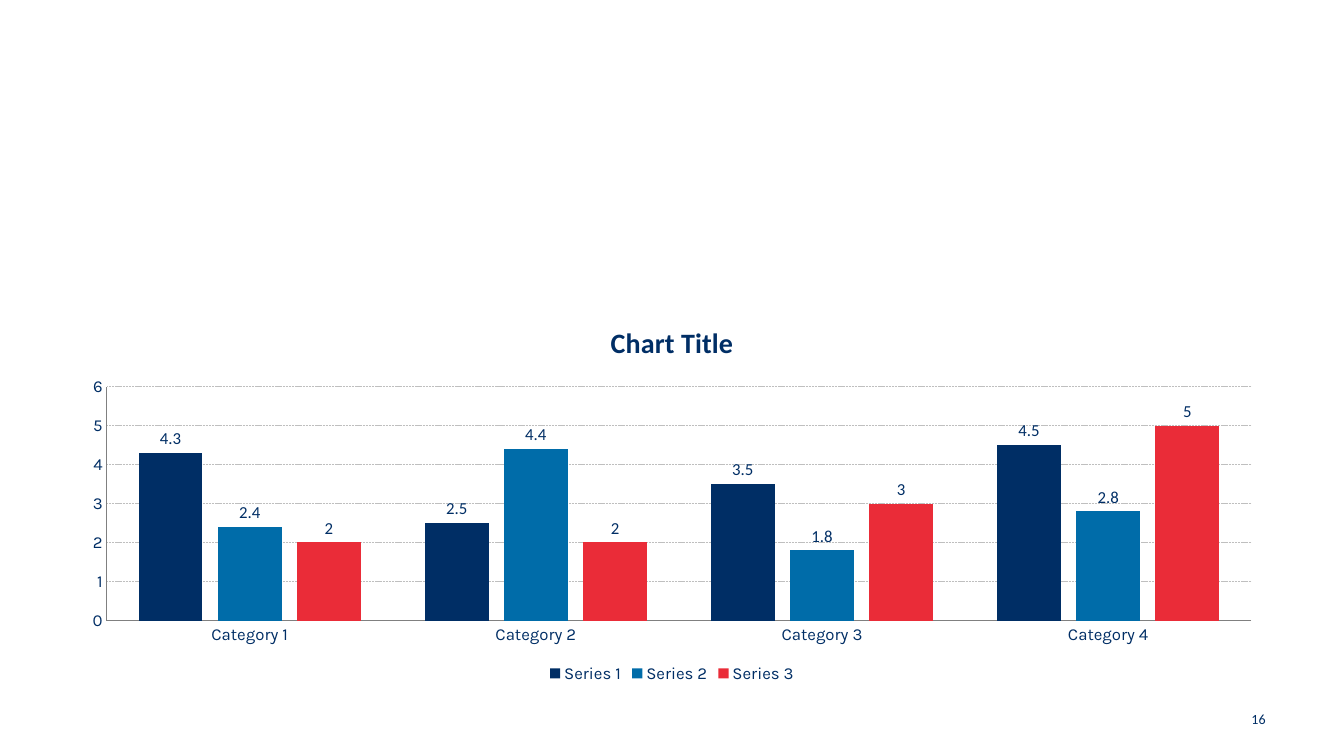
from pptx import Presentation
from pptx.chart.data import CategoryChartData
from pptx.dml.color import RGBColor
from pptx.enum import chart as kinds, dml, text
from pptx.util import Inches, Pt

NAVY = RGBColor(0x00, 0x2E, 0x65)
BLUE = RGBColor(0x00, 0x6C, 0xA9)
RED = RGBColor(0xEA, 0x2C, 0x38)
GRAY = RGBColor(0x80, 0x80, 0x80)
LIGHT_GRAY = RGBColor(0xBF, 0xBF, 0xBF)

CATEGORIES = ["Category 1", "Category 2", "Category 3", "Category 4"]
SERIES = [
    ("Series 1", (4.3, 2.5, 3.5, 4.5), NAVY),
    ("Series 2", (2.4, 4.4, 1.8, 2.8), BLUE),
    ("Series 3", (2, 2, 3, 5), RED),
]


def style_font(font, name, size, bold=False):
    font.name = name
    font.size = Pt(size)
    font.bold = bold
    font.color.rgb = NAVY


def style_line(line, color):
    line.color.rgb = color
    line.width = Pt(0.5)


def style_axis(axis):
    axis.major_tick_mark = kinds.XL_TICK_MARK.NONE
    axis.minor_tick_mark = kinds.XL_TICK_MARK.NONE
    style_font(axis.tick_labels.font, "Karla", 12)
    style_line(axis.format.line, GRAY)


def style_series(series, color):
    series.invert_if_negative = False
    series.format.fill.solid()
    series.format.fill.fore_color.rgb = color
    labels = series.data_labels
    labels.show_value = True
    labels.position = kinds.XL_LABEL_POSITION.OUTSIDE_END
    style_font(labels.font, "Calibri", 12)


def add_title(chart, wording):
    chart.has_title = True
    chart.chart_title.include_in_layout = False
    span = chart.chart_title.text_frame.paragraphs[0].add_run()
    span.text = wording
    style_font(span.font, "Calibri", 20, bold=True)


def add_legend(chart):
    chart.has_legend = True
    chart.legend.position = kinds.XL_LEGEND_POSITION.BOTTOM
    chart.legend.include_in_layout = False
    style_font(chart.legend.font, "Karla", 12)


def add_column_chart(page):
    data = CategoryChartData()
    data.categories = CATEGORIES
    for name, values, _ in SERIES:
        data.add_series(name, values)
    chart = page.shapes.add_chart(
        kinds.XL_CHART_TYPE.COLUMN_CLUSTERED,
        Inches(0.68), Inches(3.02), Inches(11.97), Inches(3.8), data).chart
    style_font(chart.font, "Karla", 10)
    add_title(chart, "Chart Title")
    add_legend(chart)

    style_axis(chart.category_axis)
    value_axis = chart.value_axis
    style_axis(value_axis)
    value_axis.minimum_scale = 0
    value_axis.maximum_scale = 6
    value_axis.major_unit = 1
    grid = value_axis.major_gridlines.format.line
    style_line(grid, LIGHT_GRAY)
    grid.dash_style = dml.MSO_LINE.SQUARE_DOT

    plot = chart.plots[0]
    plot.gap_width = 100
    plot.overlap = -24
    plot.vary_by_categories = False
    for series, (_, _, color) in zip(plot.series, SERIES):
        style_series(series, color)


def add_page_number(page, number):
    box = page.shapes.add_textbox(
        Inches(9.76), Inches(6.93), Inches(2.89), Inches(0.4))
    box.text_frame.word_wrap = True
    box.text_frame.vertical_anchor = text.MSO_ANCHOR.MIDDLE
    para = box.text_frame.paragraphs[0]
    para.alignment = text.PP_ALIGN.RIGHT
    span = para.add_run()
    span.text = number
    style_font(span.font, "Calibri", 10)


def main():
    deck = Presentation()
    deck.slide_width = Inches(13.33)
    deck.slide_height = Inches(7.5)
    page = deck.slides.add_slide(deck.slide_layouts[6])
    add_page_number(page, "16")
    add_column_chart(page)
    deck.save("out.pptx")


if __name__ == "__main__":
    main()
